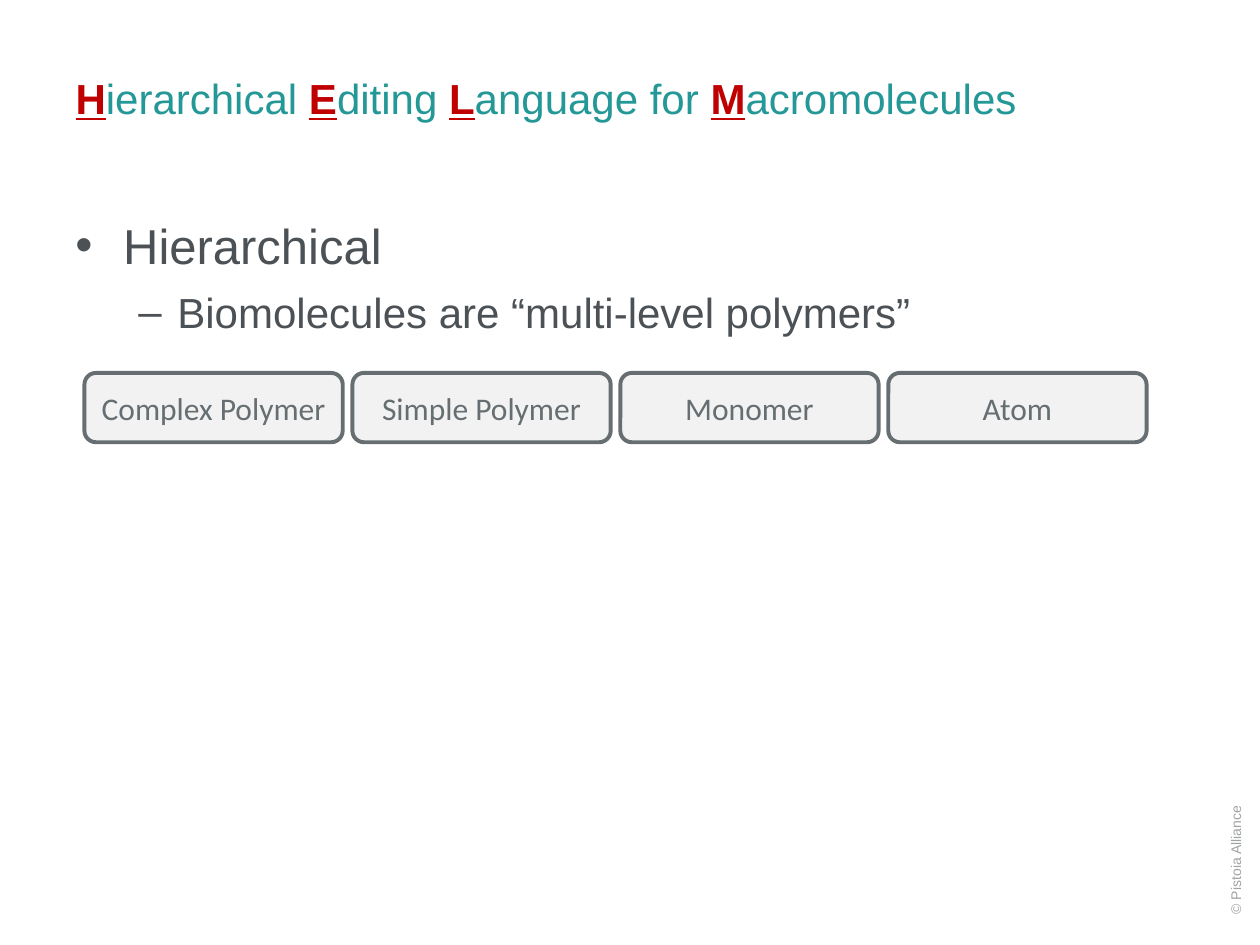
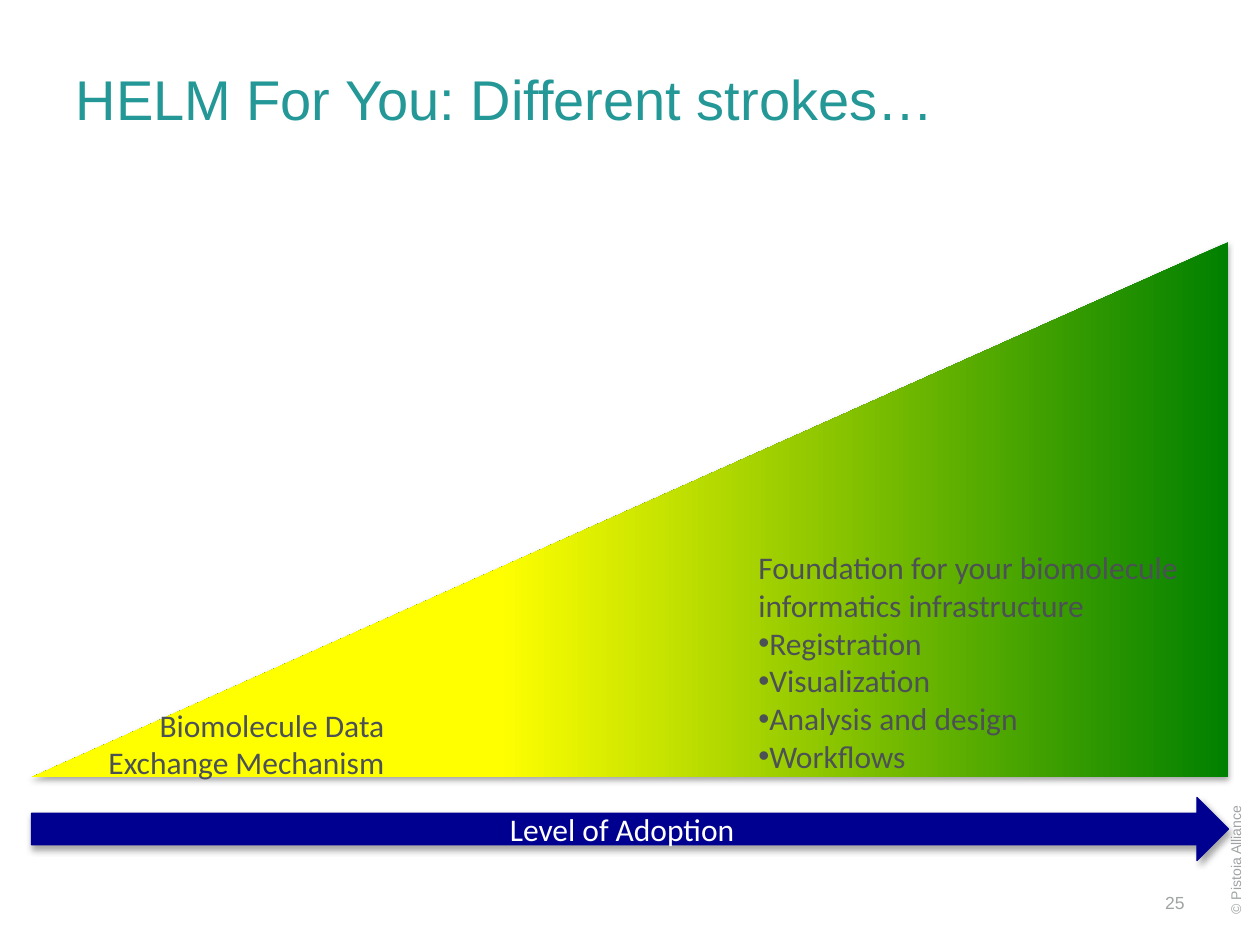
from dataclasses import dataclass

from lxml.etree import SubElement as Sub
from pptx import Presentation
from pptx.dml.color import RGBColor as RGB
from pptx.enum.shapes import MSO_SHAPE as Kind
from pptx.enum.text import MSO_ANCHOR as Anchor, PP_ALIGN as Align
from pptx.oxml.ns import qn
from pptx.util import Inches, Pt

COLS, ROWS = 100, 75
WIDE, HIGH = Inches(10), Inches(7.5)


@dataclass(frozen=True)
class Theme:
    teal: str = "249797"
    red: str = "C00000"
    ink: str = "4C5156"
    slate: str = "666E71"
    pale: str = "F2F2F2"
    mute: str = "A0A3A5"
    navy: str = "000090"
    green: str = "008000"
    yellow: str = "FFFF00"
    white: str = "FFFFFF"
    head: str = "Arial"
    body: str = "Calibri"
    tiny: int = 8
    small: int = 10
    label: int = 18
    sub: int = 24
    main: int = 28
    title: int = 32


T = Theme()


def grid(col, row, cols, rows):
    """Turn grid cells into left, top, width and height."""
    return [round(n * size / count) for n, size, count in (
        (col, WIDE, COLS), (row, HIGH, ROWS), (cols, WIDE, COLS), (rows, HIGH, ROWS))]


def style(font, color, **values):
    font.color.rgb = RGB.from_string(color)
    for key, value in values.items():
        setattr(font, key, value)


def bullet(para, mark, left, hang):
    """Hang a bullet; left and hang are in inches."""
    props = para._p.get_or_add_pPr()
    props.set("marL", str(Inches(left)))
    props.set("indent", str(Inches(hang)))
    Sub(props, qn("a:buFont")).set("typeface", T.head)
    Sub(props, qn("a:buChar")).set("char", mark)


def write(shape, lines, size, color, face, align=Align.LEFT, anchor=Anchor.TOP):
    """Fill a shape with paragraphs of one style and return them."""
    frame = shape.text_frame
    frame.word_wrap = True
    frame.vertical_anchor = anchor
    frame.text = "\n".join(lines)
    for para in frame.paragraphs:
        para.alignment = align
        for run in para.runs:
            style(run.font, color, size=Pt(size), name=face)
    return frame.paragraphs


def note(slide, cells, lines, size, color, face, **look):
    box = slide.shapes.add_textbox(*grid(*cells))
    return box, write(box, lines, size, color, face, **look)


def block(slide, kind, cells):
    """Add a preset shape with no shadow."""
    shape = slide.shapes.add_shape(kind, *grid(*cells))
    shape.shadow.inherit = False
    return shape


def paint(shape, fill, line, width):
    shape.fill.solid()
    shape.fill.fore_color.rgb = RGB.from_string(fill)
    shape.line.color.rgb = RGB.from_string(line)
    shape.line.width = Pt(width)


def shade(shape):
    """Cast a soft shadow straight down."""
    effects = shape.element.spPr.find(qn("a:effectLst"))
    cast = Sub(effects, qn("a:outerShdw"), blurRad=str(Pt(3.1)), dist=str(Pt(1.8)),
               dir="5400000", rotWithShape="0")
    tint = Sub(cast, qn("a:srgbClr"), val="000000")
    Sub(tint, qn("a:alpha"), val="35000")


def start(deck):
    """Add a slide with its placed title and the side credit."""
    slide = deck.slides.add_slide(deck.slide_layouts[5])
    title = slide.shapes.title
    title.left, title.top, title.width, title.height = grid(5, 3.9, 77.3, 7.7)
    side, _ = note(slide, (91.7, 65.2, 12.7, 4), ["© Pistoia Alliance"],
                   T.tiny, T.mute, T.head, anchor=Anchor.MIDDLE)
    side.rotation = 270
    return slide, title


def spell(title, text):
    """Write a title whose capitals stand out."""
    para, = write(title, [""], T.sub, T.teal, T.head, anchor=Anchor.MIDDLE)
    chunk = ""
    for char in text + "\0":
        if char.isupper() or char == "\0":
            if chunk:
                add_run(para, chunk, False)
            chunk = ""
            if char != "\0":
                add_run(para, char, True)
        else:
            chunk += char


def add_run(para, text, key):
    run = para.add_run()
    run.text = text
    style(run.font, T.red if key else T.teal, size=Pt(T.sub), name=T.head,
          bold=key, underline=key)


def levels(deck):
    slide, title = start(deck)
    spell(title, "Hierarchical Editing Language for Macromolecules")
    _, (top, sub) = note(slide, (5, 16.6, 90, 11),
                         ["Hierarchical", "Biomolecules are “multi-level polymers”"],
                         T.main, T.ink, T.head)
    bullet(top, "•", 0.38, -0.38)
    sub.space_before = Pt(7)
    bullet(sub, "–", 0.81, -0.31)
    sub.runs[0].font.size = Pt(T.sub)

    names = ["Complex Polymer", "Simple Polymer", "Monomer", "Atom"]
    left, right, width = 6.7, 91, 20.5
    step = (right - left - width) / (len(names) - 1)
    for i, name in enumerate(names):
        box = block(slide, Kind.ROUNDED_RECTANGLE, (left + i * step, 29.6, width, 5.5))
        paint(box, T.pale, T.slate, 2.25)
        write(box, [name], T.label, T.slate, T.body, Align.CENTER, Anchor.MIDDLE)


def adoption(deck):
    slide, title = start(deck)
    write(title, ["HELM For You: Different strokes…"], T.title, T.teal, T.head,
          anchor=Anchor.MIDDLE)
    note(slide, (89.4, 69.7, 5.6, 3.8), ["25"], T.small, T.mute, T.head,
         align=Align.RIGHT, anchor=Anchor.MIDDLE)

    slope = block(slide, Kind.RIGHT_TRIANGLE, (2.5, 19.2, 95, 42.5))
    slope.element.spPr.get_or_add_xfrm().set("flipH", "1")
    slope.line.fill.background()
    slope.fill.gradient()
    slope.fill.gradient_angle = 0
    stops = zip(slope.fill.gradient_stops, (T.green, T.yellow), (0, 0.61))
    for stop, color, place in stops:
        stop.color.rgb = RGB.from_string(color)
        stop.position = place
    shade(slope)

    note(slide, (5.5, 55.5, 26, 7.1), ["Biomolecule Data", "Exchange Mechanism"],
         T.label, T.ink, T.body, align=Align.RIGHT)
    _, paras = note(slide, (59.2, 43, 39.2, 19.2),
                    ["Foundation for your biomolecule informatics infrastructure",
                     "Registration", "Visualization", "Analysis and design", "Workflows"],
                    T.label, T.ink, T.body)
    for para in paras[1:]:
        bullet(para, "•", 0, -0.31)

    arrow = block(slide, Kind.RIGHT_ARROW, (2.5, 63.3, 95, 5))
    paint(arrow, T.navy, T.navy, 0.75)
    shade(arrow)
    write(arrow, ["Level of Adoption"], T.label, T.white, T.body,
          Align.CENTER, Anchor.MIDDLE)


def main():
    deck = Presentation()
    deck.slide_width, deck.slide_height = WIDE, HIGH
    levels(deck)
    adoption(deck)
    deck.save("out.pptx")


if __name__ == "__main__":
    main()
